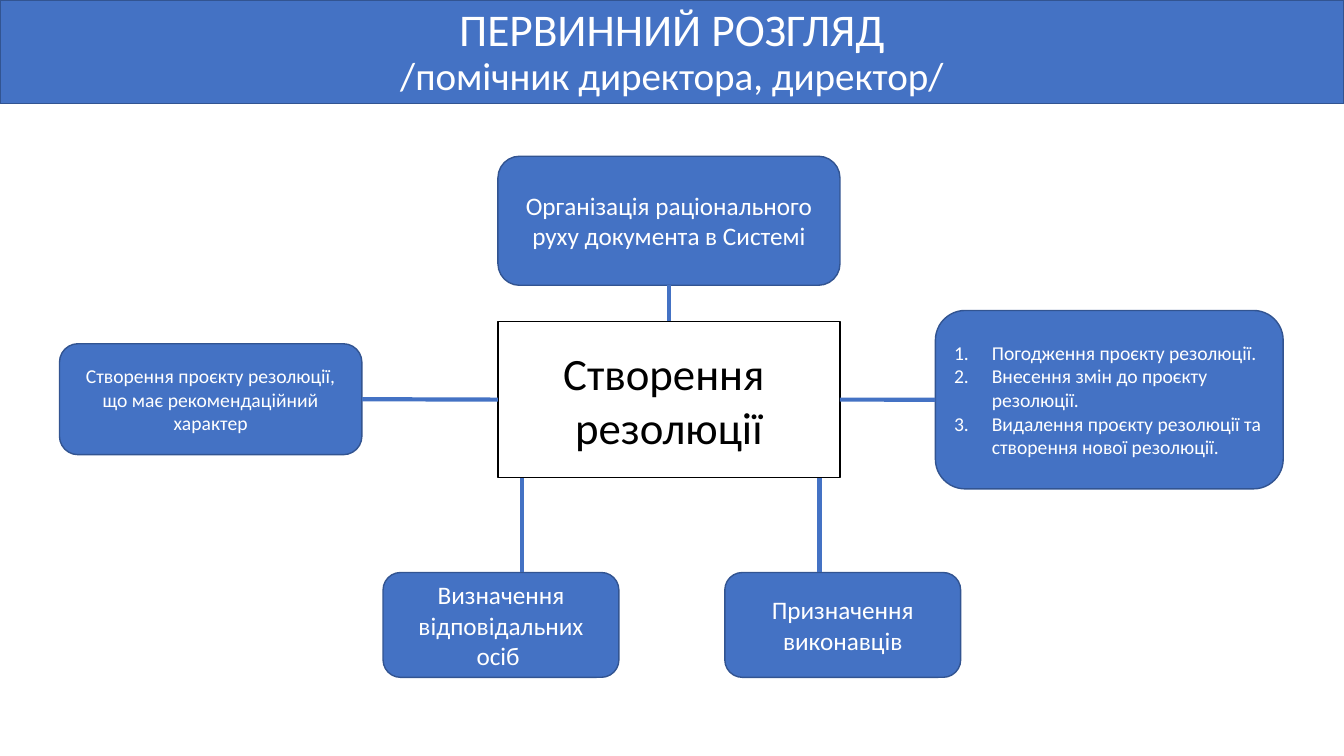
import collections

import pptx
import pptx.dml.color
import pptx.enum.shapes
import pptx.enum.text
import pptx.util
from lxml import etree

SHAPES = pptx.enum.shapes.MSO_SHAPE
ALIGN = pptx.enum.text.PP_ALIGN
ANCHOR = pptx.enum.text.MSO_ANCHOR
DRAWING = "{http://schemas.openxmlformats.org/drawingml/2006/main}"
BLUE, OUTLINE, WHITE, BLACK = "4472C4", "325491", "FFFFFF", "000000"
FONT = "Calibri"
WIDTH, HEIGHT = pptx.util.Inches(13.333), pptx.util.Inches(7.5)

# Positions and lengths in percent of the slide's width and height
Box = collections.namedtuple("Box", "left top width height")


def color(value):
    return pptx.dml.color.RGBColor.from_string(value)


def across(share):
    return round(WIDTH * share / 100)


def down(share):
    return round(HEIGHT * share / 100)


def point(box, x, y):
    """Return the slide point at the fractions x and y of a box."""
    return across(box.left + box.width * x), down(box.top + box.height * y)


def add_panel(slide, box, kind, fill=BLUE, outline=OUTLINE):
    shape = slide.shapes.add_shape(
        kind, across(box.left), down(box.top), across(box.width), down(box.height))
    shape.shadow.inherit = False
    shape.fill.solid()
    shape.fill.fore_color.rgb = color(fill)
    shape.line.color.rgb = color(outline)
    shape.line.width = pptx.util.Pt(1)
    shape.text_frame.word_wrap = True
    shape.text_frame.vertical_anchor = ANCHOR.MIDDLE
    return shape


def add_run(paragraph, text, size, text_color=WHITE):
    run = paragraph.add_run()
    run.text = text
    run.font.name = FONT
    run.font.size = pptx.util.Pt(size)
    run.font.color.rgb = color(text_color)


def add_paragraphs(shape, lines, size, text_color=WHITE, numbered=False):
    frame = shape.text_frame
    for index, line in enumerate(lines):
        paragraph = frame.paragraphs[0] if index == 0 else frame.add_paragraph()
        paragraph.alignment = ALIGN.LEFT if numbered else ALIGN.CENTER
        if numbered:
            properties = paragraph._p.get_or_add_pPr()
            indent = pptx.util.Inches(0.375)
            properties.set("marL", str(indent))
            properties.set("indent", str(-indent))
            etree.SubElement(properties, DRAWING + "buAutoNum", type="arabicPeriod")
        add_run(paragraph, line, size, text_color)


def add_title(slide, box):
    shape = add_panel(slide, box, SHAPES.RECTANGLE)
    shape.text_frame.vertical_anchor = ANCHOR.BOTTOM
    paragraph = shape.text_frame.paragraphs[0]
    paragraph.alignment = ALIGN.CENTER
    paragraph.line_spacing = 0.9
    add_run(paragraph, "ПЕРВИННИЙ РОЗГЛЯД", 32.4)
    paragraph.add_line_break()
    add_run(paragraph, "/помічник директора, директор/", 27.9)


def add_center(slide, box):
    shape = add_panel(slide, box, SHAPES.RECTANGLE, WHITE, BLACK)
    add_paragraphs(shape, ["Створення ", "резолюції"], 32, BLACK)


def add_step(slide, box, lines, size, numbered=False):
    shape = add_panel(slide, box, SHAPES.ROUNDED_RECTANGLE)
    add_paragraphs(shape, lines, size, numbered=numbered)


def add_link(slide, start, end):
    line = slide.shapes.add_connector(
        pptx.enum.shapes.MSO_CONNECTOR.STRAIGHT, *start, *end)
    line.line.color.rgb = color(BLUE)
    line.line.width = pptx.util.Pt(3)
    etree.SubElement(line._element.spPr, DRAWING + "effectLst")


def add_scheme(slide, center):
    """Place the steps around the central box and link them to it."""
    above = Box(center.left, 20.67, center.width, 17.07)
    before = Box(4.43, 45.47, 22.5, 14.67)
    after = Box(69.6, 41.07, 25.88, 23.6)
    below_left = Box(28.5, 75.73, 17.55, 13.87)
    below_right = below_left._replace(left=53.93)

    add_step(slide, above, ["Організація раціонального руху документа в Системі"], 18)
    add_center(slide, center)
    add_step(slide, before,
             ["Створення проєкту резолюції, що має рекомендаційний характер"], 14)
    add_step(slide, below_left, ["Визначення відповідальних осіб "], 18)
    add_step(slide, below_right, ["Призначення виконавців"], 18)
    add_step(slide, after, [
        "Погодження проєкту резолюції.",
        "Внесення змін до проєкту резолюції.",
        "Видалення проєкту резолюції та створення нової резолюції.",
    ], 14, numbered=True)

    add_link(slide, point(before, 1, 0.5), point(center, 0, 0.5))
    add_link(slide, point(center, 0.5, 0), point(above, 0.5, 1))
    add_link(slide, point(center, 1, 0.5), point(after, 0, 0.5))
    for share in (0.07, 0.94):
        x, bottom = point(center, share, 1)
        add_link(slide, (x, down(below_left.top)), (x, bottom))


def main():
    presentation = pptx.Presentation()
    presentation.slide_width, presentation.slide_height = WIDTH, HEIGHT
    slide = presentation.slides.add_slide(presentation.slide_layouts[6])
    add_title(slide, Box(0, 0, 100, 13.73))
    add_scheme(slide, Box(37.05, 42.53, 25.45, 20.67))
    presentation.save("out.pptx")


if __name__ == "__main__":
    main()
